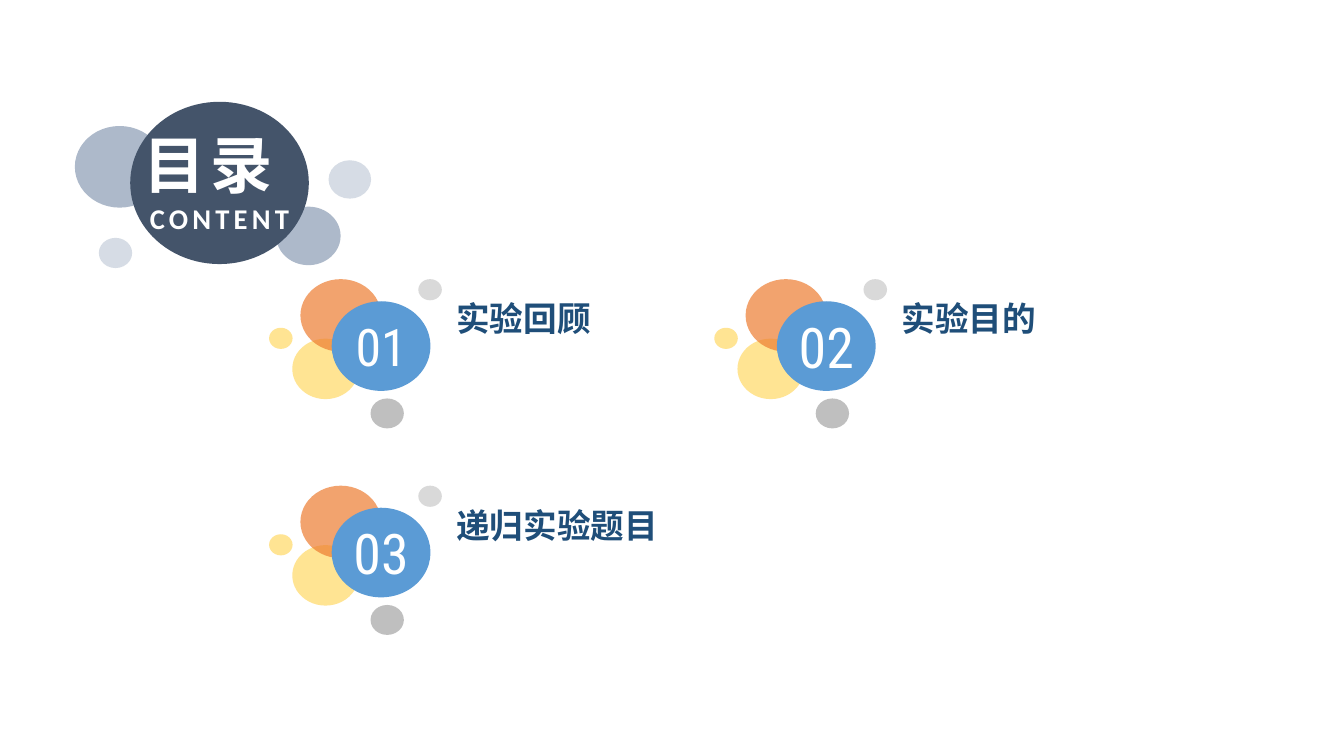
from typing import NamedTuple, Optional

from lxml.etree import SubElement
from pptx import Presentation
from pptx.dml.color import RGBColor
from pptx.enum.shapes import MSO_SHAPE
from pptx.enum.text import MSO_ANCHOR, MSO_AUTO_SIZE, PP_ALIGN
from pptx.oxml.ns import qn
from pptx.shapes.autoshape import Shape
from pptx.text.text import Font
from pptx.util import Pt


class Bubble(NamedTuple):
    left: float
    top: float
    width: float
    height: float
    color: str
    opacity: Optional[int] = None


class Topic(NamedTuple):
    number: str
    number_size: float
    label: str
    column: int
    row: int


BACK_BUBBLES = [
    Bubble(16.6, 42.5, 47.5, 43.2, "FFD966", 70),
    Bubble(22.4, 0, 57.6, 51.8, "ED7D31", 70),
]
NUMBER_BUBBLE = Bubble(44.7, 15.8, 70.6, 64, "5B9BD5")
FRONT_BUBBLES = [
    Bubble(72.5, 85.2, 23.8, 21.4, "A5A5A5", 70),
    Bubble(0, 34.7, 16.8, 15.1, "FFD966", 70),
    Bubble(106.6, 0, 16.8, 15.1, "C9C9C9", 70),
]
TITLE_SATELLITES = [
    Bubble(70.6, 169.9, 23.8, 21.6, "D6DCE5"),
    Bubble(197.3, 147.6, 46, 41.8, "ADB9CA"),
    Bubble(53.5, 90, 64, 58.3, "ADB9CA"),
    Bubble(234.7, 114.5, 30.4, 27.4, "D6DCE5"),
]
TITLE_BUBBLE = Bubble(93, 72.7, 127.6, 115.9, "44546A")
TOPICS = [
    Topic("01", 37, "实验回顾", 0, 0),
    Topic("03", 40, "递归实验题目", 0, 1),
    Topic("02", 40, "实验目的", 1, 0),
]
GRID_LEFT, GRID_TOP = 192.2, 199.4
COLUMN_STEP, ROW_STEP = 318, 147.5


def rgb(color: str) -> RGBColor:
    return RGBColor.from_string(color)


def style_font(font: Font, name: str, size: float, color: str, bold: bool = False) -> None:
    font.name = name
    font.size = Pt(size)
    font.bold = bold
    font.color.rgb = rgb(color)
    SubElement(font._element if hasattr(font, "_element") else font._rPr,
               qn("a:ea"), typeface=name)


def clear_margins(shape: Shape) -> None:
    frame = shape.text_frame
    frame.margin_left = frame.margin_right = Pt(0)
    frame.margin_top = frame.margin_bottom = Pt(0)


def draw_bubble(shapes, bubble: Bubble, left: float = 0, top: float = 0) -> Shape:
    """Draw a bubble, offset by left and top."""
    oval = shapes.add_shape(
        MSO_SHAPE.OVAL, Pt(left + bubble.left), Pt(top + bubble.top),
        Pt(bubble.width), Pt(bubble.height))
    oval.shadow.inherit = False
    oval.line.fill.background()
    oval.fill.solid()
    oval.fill.fore_color.rgb = rgb(bubble.color)
    if bubble.opacity is not None:
        srgb = oval.element.spPr.find(f"{qn('a:solidFill')}/{qn('a:srgbClr')}")
        SubElement(srgb, qn("a:alpha"), val=str(bubble.opacity * 1000))
    return oval


def draw_topic(slide, topic: Topic) -> None:
    left = GRID_LEFT + topic.column * COLUMN_STEP
    top = GRID_TOP + topic.row * ROW_STEP
    shapes = slide.shapes.add_group_shape().shapes
    for bubble in BACK_BUBBLES:
        draw_bubble(shapes, bubble, left, top)

    number = draw_bubble(shapes, NUMBER_BUBBLE, left, top)
    clear_margins(number)
    number.text_frame.word_wrap = False
    number.text_frame.vertical_anchor = MSO_ANCHOR.MIDDLE
    number_line = number.text_frame.paragraphs[0]
    number_line.text = topic.number
    number_line.alignment = PP_ALIGN.CENTER
    style_font(number_line.font, "Roboto Condensed", topic.number_size, "FFFFFF")

    for bubble in FRONT_BUBBLES:
        draw_bubble(shapes, bubble, left, top)

    label = shapes.add_textbox(Pt(left + 105.8), Pt(top), Pt(198), Pt(42.5))
    clear_margins(label)
    label.text_frame.margin_left = Pt(28)
    label.text_frame.word_wrap = False
    label.text_frame.vertical_anchor = MSO_ANCHOR.BOTTOM
    label_line = label.text_frame.paragraphs[0]
    label_line.text = topic.label
    style_font(label_line.font, "Noto Sans CJK SC", 24, "1F4E79", bold=True)


def draw_title(slide) -> None:
    for bubble in TITLE_SATELLITES:
        draw_bubble(slide.shapes, bubble)
    backdrop = draw_bubble(slide.shapes, TITLE_BUBBLE)

    title = slide.shapes.title
    backdrop.element.addnext(title.element)
    title.left, title.top = Pt(TITLE_BUBBLE.left), Pt(84)
    title.width, title.height = Pt(TITLE_BUBBLE.width), Pt(84)
    clear_margins(title)
    frame = title.text_frame
    frame.word_wrap = False
    frame.auto_size = MSO_AUTO_SIZE.NONE
    frame.vertical_anchor = MSO_ANCHOR.BOTTOM
    heading = frame.paragraphs[0]
    heading.text = "目录 \vCONTENT"
    heading.alignment = PP_ALIGN.CENTER
    for run, size in zip(heading.runs, (44.4, 20.4)):
        run.font.name = "Calibri"
        run.font.size = Pt(size)
        run.font.bold = True
        run.font.color.rgb = rgb("FFFFFF")
        run.font._element.set("spc", "300")


def main() -> None:
    deck = Presentation()
    deck.slide_width, deck.slide_height = Pt(960), Pt(540)
    slide = deck.slides.add_slide(deck.slide_layouts[5])
    for topic in TOPICS:
        draw_topic(slide, topic)
    draw_title(slide)
    deck.save("out.pptx")


if __name__ == "__main__":
    main()
